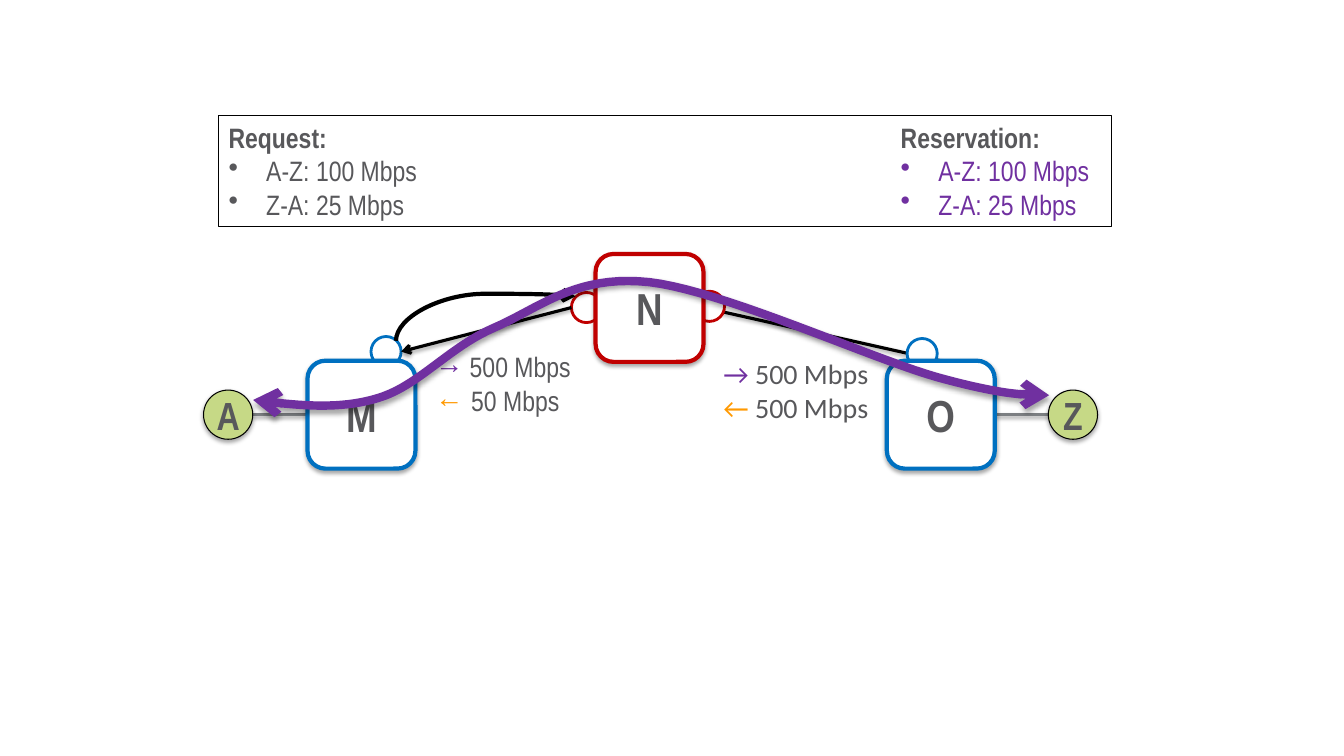
from typing import NamedTuple

from lxml import etree
from pptx import Presentation, util as u
from pptx.dml import color
from pptx.enum import shapes, text
from pptx.oxml import ns

COLORS = {"black": "000000", "white": "FFFFFF", "grey": "58585B", "link": "7C7F82",
          "blue": "0070C0", "red": "C00000", "green": "C6D986",
          "purple": "7030A0", "orange": "FF9900"}
NARROW = "Arial Narrow"
KIND = shapes.MSO_SHAPE


class Item(NamedTuple):
    """A filled, outlined shape with an optional centred label."""
    kind: int
    x: float
    y: float
    size: float
    fill: str
    line: str
    width: float
    label: str = ""
    pt: int = 0
    shadow: bool = True


class Link(NamedTuple):
    """A straight connection between two points."""
    start: tuple[float, float]
    end: tuple[float, float]
    color: str
    width: float
    arrow: bool = False


class Demand(NamedTuple):
    """A headed list of the two bandwidth demands."""
    x: float
    width: float
    title: str
    color: str
    border: bool


class Rates(NamedTuple):
    """The available bandwidth in each direction."""
    x: float
    y: float
    width: float
    font: str
    forward: str
    back: str


def rgb(name: str) -> color.RGBColor:
    """Look up a named colour."""
    return color.RGBColor.from_string(COLORS[name])


def set_line(s, name: str, width: float, ends: tuple[str, ...] = ()) -> None:
    """Colour the outline and add open arrowheads at the given ends."""
    s.line.color.rgb = rgb(name)
    s.line.width = u.Pt(width)
    ln = s._element.spPr.find(ns.qn("a:ln"))
    for end in ends:
        etree.SubElement(ln, ns.qn(f"a:{end}"), type="arrow")


def set_shadow(s, alpha: int = 0, dist: float = 1.8) -> None:
    """Give a soft downward shadow, or none when alpha is zero."""
    pr = s._element.spPr
    for old in pr.findall(ns.qn("a:effectLst")):
        pr.remove(old)
    effects = etree.SubElement(pr, ns.qn("a:effectLst"))
    if alpha:
        shadow = etree.SubElement(effects, ns.qn("a:outerShdw"), blurRad=str(u.Pt(3.1)),
                                  dist=str(u.Pt(dist)), dir="5400000", rotWithShape="0")
        black = etree.SubElement(shadow, ns.qn("a:srgbClr"), val=COLORS["black"])
        etree.SubElement(black, ns.qn("a:alpha"), val=str(alpha * 1000))


def set_font(font, name: str, size: int, tint: str = "grey", bold: bool = False) -> None:
    """Set typeface, size, colour and weight."""
    font.name, font.size, font.bold = name, u.Pt(size), bold
    font.color.rgb = rgb(tint)


def add_item(sp, item: Item) -> None:
    """Draw a node, port or endpoint."""
    s = sp.add_shape(item.kind, *map(u.Cm, (item.x, item.y, item.size, item.size)))
    s.fill.solid()
    s.fill.fore_color.rgb = rgb(item.fill)
    set_line(s, item.line, item.width)
    set_shadow(s, 35 if item.shadow else 0)
    if item.label:
        tf = s.text_frame
        tf.margin_left = tf.margin_right = tf.margin_top = tf.margin_bottom = 0
        tf.word_wrap = False
        tf.vertical_anchor = text.MSO_ANCHOR.MIDDLE
        p = tf.paragraphs[0]
        p.text, p.alignment = item.label, text.PP_ALIGN.CENTER
        set_font(p.font, NARROW, item.pt, bold=True)


def add_link(sp, link: Link) -> None:
    """Draw a straight link."""
    s = sp.add_connector(shapes.MSO_CONNECTOR.STRAIGHT, *map(u.Cm, link.start + link.end))
    set_line(s, link.color, link.width, ("tailEnd",) if link.arrow else ())
    set_shadow(s, 38, 1.6)


def add_curve(sp) -> None:
    """Draw the curved arrow from M up to N, as a connector turned upright."""
    s = sp.add_connector(shapes.MSO_CONNECTOR.CURVE, *map(u.Cm, (12.8, 10.29, 11.68, 5.77)))
    s._element.spPr.xfrm.set("rot", "5400000")
    guides = s._element.spPr.prstGeom.get_or_add_avLst()
    etree.SubElement(guides, ns.qn("a:gd"), name="adj1", fmla="val 105900")
    set_line(s, "black", 3, ("tailEnd",))
    set_shadow(s)


def add_demand(sp, demand: Demand) -> None:
    """Write a heading and its bulleted demands."""
    box = tuple(map(u.Cm, (demand.x, 2.9, demand.width, 2.82)))
    if demand.border:
        s = sp.add_shape(KIND.RECTANGLE, *box)
        s.fill.background()
        set_line(s, "black", 0.75)
        set_shadow(s)
    else:
        s = sp.add_textbox(*box)
    tf = s.text_frame
    tf.word_wrap = True
    tf.vertical_anchor = text.MSO_ANCHOR.TOP
    tf.text = "\n".join((demand.title, "A-Z: 100 Mbps", "Z-A: 25 Mbps"))
    for i, p in enumerate(tf.paragraphs):
        p.alignment = text.PP_ALIGN.LEFT
        set_font(p.font, NARROW, 20, demand.color if i else "grey", bold=not i)
        if i:
            pr = p._p.get_or_add_pPr()
            pr.set("marL", str(u.Cm(0.95)))
            pr.set("indent", str(-u.Cm(0.95)))
            bullet = etree.Element(ns.qn("a:buChar"), char="•")
            pr.insert(0, bullet)


def add_rates(sp, rates: Rates) -> None:
    """Write the bandwidth of each direction behind a coloured arrow."""
    tf = sp.add_textbox(*map(u.Cm, (rates.x, rates.y, rates.width, 1.96))).text_frame
    tf.word_wrap = True
    rows = (("→ ", "purple", rates.forward), ("← ", "orange", rates.back))
    for i, (arrow, tint, rate) in enumerate(rows):
        p = tf.add_paragraph() if i else tf.paragraphs[0]
        p.font.name, p.font.size = rates.font, u.Pt(20)
        for words, name in ((arrow, tint), (rate, "grey")):
            r = p.add_run()
            r.text = words
            r.font.color.rgb = rgb(name)


def add_route(sp, points: list[tuple[float, float]], steps: int = 20) -> None:
    """Draw the reserved route through chained cubic Bezier segments."""
    route = [points[0]]
    for i in range(0, len(points) - 1, 3):
        for t in (n / steps for n in range(1, steps + 1)):
            weights = ((1 - t) ** 3, 3 * t * (1 - t) ** 2, 3 * t * t * (1 - t), t ** 3)
            route.append(tuple(sum(w * q[axis] for w, q in zip(weights, points[i:i + 4]))
                               for axis in (0, 1)))
    x, y = route[0]
    builder = sp.build_freeform(u.Cm(x), u.Cm(y))
    builder.add_line_segments([(u.Cm(x), u.Cm(y)) for x, y in route[1:]], close=False)
    s = builder.convert_to_shape()
    s.fill.background()
    set_line(s, "purple", 6, ("headEnd", "tailEnd"))
    set_shadow(s, 35)


ENDPOINTS = [Item(KIND.OVAL, x, 9.83, 1.24, "green", "black", 0.75, label, 28)
             for x, label in ((5.13, "A"), (26.42, "Z"))]
PORTS = [Item(KIND.OVAL, x, y, 0.76, "white", tint, 2, shadow=False)
         for x, y, tint in ((14.4, 7.37, "red"), (17.5, 7.34, "red"),
                            (9.35, 8.48, "blue"), (22.86, 8.53, "blue"))]
NODES = [Item(KIND.ROUNDED_RECTANGLE, x, y, 2.72, "white", tint, 3, label, 32)
         for x, y, tint, label in ((7.75, 9.09, "blue", "M"), (15.01, 6.4, "red", "N"),
                                   (22.35, 9.09, "blue", "O"))]
LINKS = [Link((6.38, 10.45), (7.75, 10.45), "link", 2),
         Link((25.07, 10.45), (26.42, 10.45), "link", 2),
         Link((23.7, 9.09), (17.73, 7.75), "black", 2.25)]
RETURN_LINK = Link((14.4, 7.75), (10.11, 8.86), "black", 2.25, arrow=True)
DEMANDS = [Demand(5.51, 22.5, "Request:", "grey", True),
           Demand(22.45, 7.87, "Reservation:", "purple", False)]
RATES = [Rates(10.72, 8.69, 5.16, NARROW, "500 Mbps", "50 Mbps"),
         Rates(17.98, 8.86, 4.47, "Calibri", "500 Mbps", "500 Mbps")]
ROUTE = [(6.38, 10.08), (7.44, 10.21), (8.53, 10.34), (9.53, 10.03), (10.54, 9.73),
         (11.3, 8.76), (12.45, 8.26), (13.59, 7.77), (14.5, 6.91), (16.36, 7.11),
         (18.21, 7.32), (21.92, 9.02), (23.6, 9.5), (25.27, 9.96), (25.86, 9.96),
         (26.44, 9.96)]

prs = Presentation()
prs.slide_width, prs.slide_height = u.Cm(33.87), u.Cm(19.05)
sp = prs.slides.add_slide(prs.slide_layouts[6]).shapes
for link in LINKS:
    add_link(sp, link)
for item in ENDPOINTS + PORTS + NODES:
    add_item(sp, item)
for demand in DEMANDS:
    add_demand(sp, demand)
for rates in RATES:
    add_rates(sp, rates)
add_link(sp, RETURN_LINK)
add_curve(sp)
add_route(sp, ROUTE)
prs.save("out.pptx")
